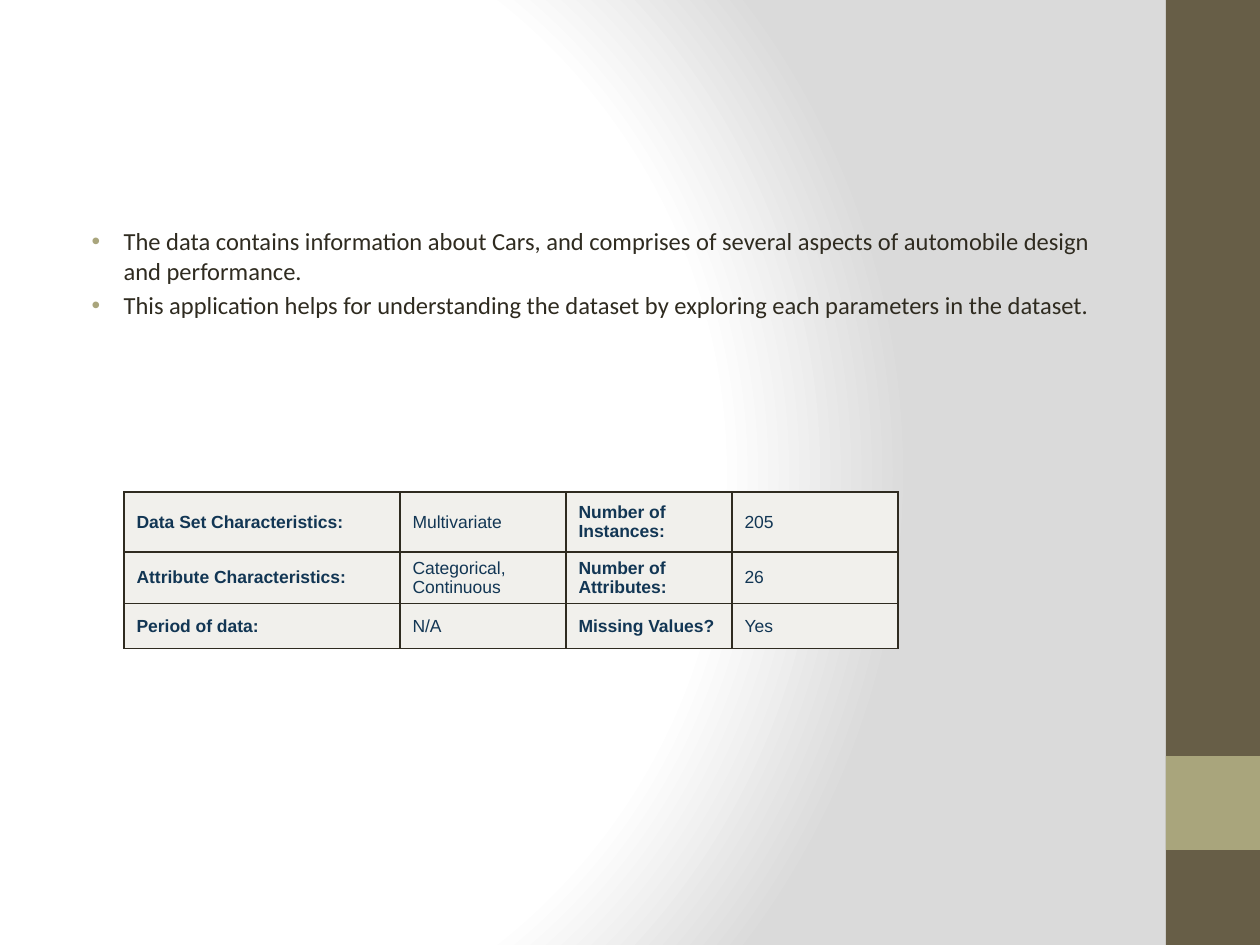
from lxml import etree
from pptx import Presentation
from pptx.dml.color import RGBColor
from pptx.enum.shapes import MSO_SHAPE
from pptx.enum.text import MSO_ANCHOR, MSO_AUTO_SIZE, PP_ALIGN
from pptx.oxml import parse_xml
from pptx.oxml.ns import nsdecls, qn
from pptx.util import Emu, Pt

RECT = MSO_SHAPE.RECTANGLE
MIDDLE, TOP = MSO_ANCHOR.MIDDLE, MSO_ANCHOR.TOP
LEFT = PP_ALIGN.LEFT
NO_FIT = MSO_AUTO_SIZE.NONE

WIDE, HIGH = 1260, 945
COLORS = {"white": "FFFFFF", "grey": "DADADA", "brown": "675E47",
          "olive": "A9A57C", "ink": "2F2B20", "navy": "123654",
          "cell": "F1F0EC"}

POINTS = [
    "The data contains information about Cars, and comprises of several "
    "aspects of automobile design and performance.",
    "This application helps for understanding the dataset by exploring "
    "each parameters in the dataset.",
]
FACTS = [
    ["Data Set Characteristics:", "Multivariate", "Number of Instances:", "205"],
    ["Attribute Characteristics:", "Categorical, Continuous",
     "Number of Attributes:", "26"],
    ["Period of data:", "N/A", "Missing Values?", "Yes"],
]
COLS = [276, 166, 166, 166]
ROWS = [60, 51, 45]


def px(n):
    return Emu(round(n * 914400 / 126))


def rgb(name):
    return RGBColor.from_string(COLORS[name])


def add_run(para, text, font, size, color, bold=False):
    run = para.add_run()
    run.text = text
    run.font.name = font
    run.font.size = Pt(size)
    run.font.bold = bold
    run.font.color.rgb = rgb(color)


def add_back(slide):
    stops = "".join(
        f'<a:gs pos="{pos * 1000}"><a:srgbClr val="{COLORS[name]}"/></a:gs>'
        for pos, name in [(0, "white"), (75, "white"), (100, "grey")])
    back = parse_xml(
        f'<p:bg {nsdecls("p", "a")}><p:bgPr><a:gradFill rotWithShape="1">'
        f'<a:gsLst>{stops}</a:gsLst><a:path path="circle">'
        '<a:fillToRect l="20000" t="50000" r="100000" b="50000"/></a:path>'
        '</a:gradFill><a:effectLst/></p:bgPr></p:bg>')
    slide.element.find(qn("p:cSld")).insert(0, back)


def add_band(slide, x, y, w, h):
    # Full-height bar with a square accent near its foot
    for top, size, color in [(0, h, "brown"), (h * 4 // 5, w, "olive")]:
        bar = slide.shapes.add_shape(RECT, px(x), px(y + top), px(w), px(size))
        bar.shadow.inherit = False
        bar.fill.solid()
        bar.fill.fore_color.rgb = rgb(color)
        bar.line.fill.background()


def add_points(slide, x, y, w, h):
    body = slide.placeholders[1]
    body.left, body.top, body.width, body.height = px(x), px(y), px(w), px(h)
    frame = body.text_frame
    frame.word_wrap = True
    frame.auto_size = NO_FIT
    frame.vertical_anchor = TOP
    for i, text in enumerate(POINTS):
        para = frame.add_paragraph() if i else frame.paragraphs[0]
        para.alignment = LEFT
        para.space_before = Pt(2.8)
        add_run(para, text, "Calibri", 14, "ink")
        # Hanging bullet
        props = para._p.get_or_add_pPr()
        props.set("marL", str(px(48)))
        props.set("indent", str(-px(32)))
        tint = etree.SubElement(props, qn("a:buClr"))
        etree.SubElement(tint, qn("a:srgbClr"), val=COLORS["olive"])
        etree.SubElement(props, qn("a:buFont"), typeface="Arial")
        etree.SubElement(props, qn("a:buChar"), char="•")


def add_edges(cell):
    props = cell._tc.get_or_add_tcPr()
    for side in ("lnL", "lnR", "lnT", "lnB"):
        edge = etree.SubElement(props, qn("a:" + side), w=str(Pt(1)))
        fill = etree.SubElement(edge, qn("a:solidFill"))
        etree.SubElement(fill, qn("a:srgbClr"), val=COLORS["ink"])


def add_facts(slide, x, y):
    table = slide.shapes.add_table(len(ROWS), len(COLS), px(x), px(y),
                                   px(sum(COLS)), px(sum(ROWS))).table
    table.first_row = table.horz_banding = False
    for col, w in zip(table.columns, COLS):
        col.width = px(w)
    for row, h, texts in zip(table.rows, ROWS, FACTS):
        row.height = px(h)
        for i, (cell, text) in enumerate(zip(row.cells, texts)):
            add_edges(cell)
            cell.fill.solid()
            cell.fill.fore_color.rgb = rgb("cell")
            cell.vertical_anchor = MIDDLE
            # Labels and values alternate
            add_run(cell.text_frame.paragraphs[0], text, "Arial", 10, "navy",
                    bold=i % 2 == 0)


def main():
    deck = Presentation()
    deck.slide_width, deck.slide_height = px(WIDE), px(HIGH)
    slide = deck.slides.add_slide(deck.slide_layouts[1])
    title = slide.shapes.title.element
    title.getparent().remove(title)
    add_back(slide)
    add_band(slide, 1166, 0, WIDE - 1166, HIGH)
    add_points(slide, 63, 220, 1050, 662)
    add_facts(slide, 124, 492)
    deck.save("out.pptx")


if __name__ == "__main__":
    main()
